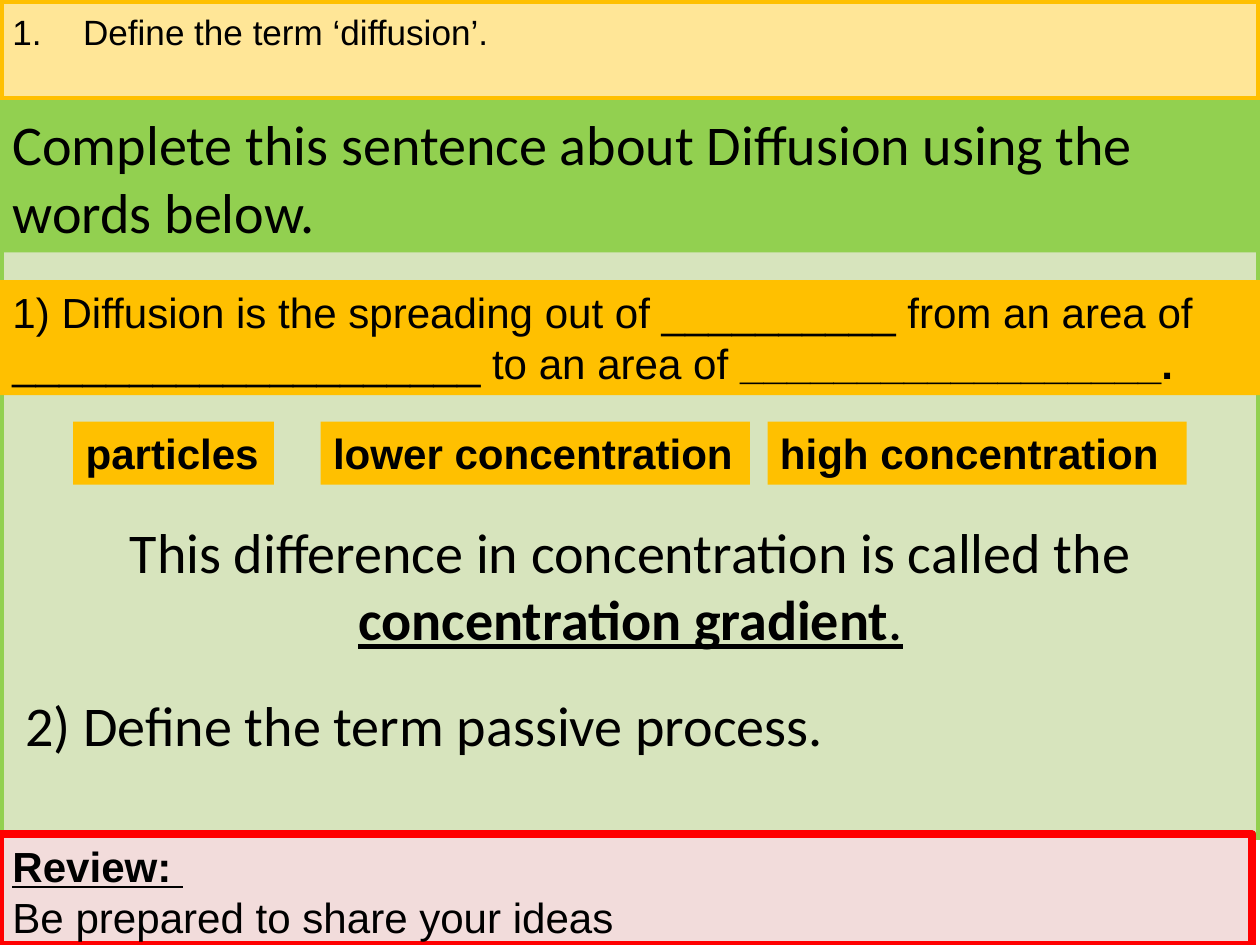
from dataclasses import dataclass

from lxml import etree
from pptx import Presentation
from pptx import util as u
from pptx.dml.color import RGBColor
from pptx.enum import shapes, text
from pptx.oxml.ns import qn

PX = 9144  # EMU per px, at 100 px to the inch
WIDTH = 998
DECK_WIDTH, DECK_HEIGHT = u.Emu(9126538), u.Emu(6845300)
COLOURS = {
    "black": "000000",
    "amber": "FFC000",
    "cream": "FFE697",
    "green": "92D050",
    "pale green": "D7E4BD",
    "red": "FF0000",
    "pink": "F2DCDB",
}


@dataclass
class Panel:
    left: int
    top: int
    width: int
    height: int
    fill: str
    line: str


@dataclass
class WordCard:
    word: str
    left: int
    width: int


STARTER = Panel(0, 0, WIDTH, 79, "cream", "amber")
TASK = Panel(0, 82, WIDTH, 580, "pale green", "green")
REVIEW = Panel(0, 661, 992, 88, "pink", "red")

WORD_CARDS = [
    WordCard("particles", 58, 159),
    WordCard("high concentration ", 608, 332),
    WordCard("lower concentration", 254, 340),
]


def colour(name: str) -> RGBColor:
    return RGBColor.from_string(COLOURS[name])


def add_panel(page, panel: Panel):
    bounds = [n * PX for n in (panel.left, panel.top, panel.width, panel.height)]
    box = page.shapes.add_shape(shapes.MSO_SHAPE.RECTANGLE, *bounds)
    box.shadow.inherit = False
    box.fill.solid()
    box.fill.fore_color.rgb = colour(panel.fill)
    box.line.color.rgb = colour(panel.line)
    box.line.width = u.Pt(4.5)
    box.text_frame.vertical_anchor = text.MSO_ANCHOR.TOP
    return box


def add_text_box(page, left: int, top: int, width: int, height: int,
                 fill: str = "", wrap: bool = True):
    box = page.shapes.add_textbox(left * PX, top * PX, width * PX, height * PX)
    box.text_frame.word_wrap = wrap
    box.text_frame.auto_size = text.MSO_AUTO_SIZE.SHAPE_TO_FIT_TEXT
    if fill:
        box.fill.solid()
        box.fill.fore_color.rgb = colour(fill)
    return box


def write(para, words: str, *, size: int = 24, font: str = "Arial",
          bold: bool = False, underline: bool = False,
          align=text.PP_ALIGN.LEFT) -> None:
    para.alignment = align
    span = para.add_run()
    span.text = words
    span.font.size = u.Pt(size)
    span.font.name = font
    span.font.bold = bold
    span.font.underline = underline
    span.font.color.rgb = colour("black")


def number(para, indent: int) -> None:
    """Give the paragraph an automatic number with a hanging indent."""
    properties = para._p.get_or_add_pPr()
    properties.set("marL", str(indent * PX))
    properties.set("indent", str(-indent * PX))
    bullet_font = etree.SubElement(properties, qn("a:buFont"))
    bullet_font.set("typeface", "+mj-lt")
    bullet = etree.SubElement(properties, qn("a:buAutoNum"))
    bullet.set("type", "arabicPeriod")


def add_panels(page) -> None:
    starter = add_panel(page, STARTER).text_frame.paragraphs[0]
    write(starter, "Define the term ‘diffusion’.", size=20)
    starter.line_spacing = 1.1
    number(starter, 56)

    add_panel(page, TASK)

    review = add_panel(page, REVIEW).text_frame
    write(review.paragraphs[0], "Review: ", bold=True, underline=True)
    write(review.add_paragraph(), "Be prepared to share your ideas")


def add_task(page) -> None:
    large = {"size": 32, "font": "Calibri"}

    heading = add_text_box(page, 0, 82, WIDTH, 118, "green")
    write(heading.text_frame.paragraphs[0],
          "Complete this sentence about Diffusion using the words below.", **large)

    sentence = add_text_box(page, 0, 222, WIDTH, 91, "amber").text_frame.paragraphs[0]
    write(sentence, "1) Diffusion is the spreading out of " + "_" * 10
          + " from an area of " + "_" * 20 + " to an area of ")
    write(sentence, "_" * 18 + ".", bold=True)

    for card in WORD_CARDS:
        box = add_text_box(page, card.left, 334, card.width, 50, "amber", wrap=False)
        write(box.text_frame.paragraphs[0], card.word, bold=True)

    gradient = add_text_box(page, 34, 405, 931, 118).text_frame.paragraphs[0]
    centred = {**large, "align": text.PP_ALIGN.CENTER}
    write(gradient, "This difference in concentration is called the ", **centred)
    write(gradient, "concentration gradient", bold=True, underline=True, **centred)
    write(gradient, ".", underline=True, **centred)

    question = add_text_box(page, 10, 542, 931, 64)
    write(question.text_frame.paragraphs[0],
          "2) Define the term passive process.", **large)


def main() -> None:
    deck = Presentation()
    deck.slide_width, deck.slide_height = DECK_WIDTH, DECK_HEIGHT
    page = deck.slides.add_slide(deck.slide_layouts[6])
    add_panels(page)
    add_task(page)
    deck.save("out.pptx")


if __name__ == "__main__":
    main()
